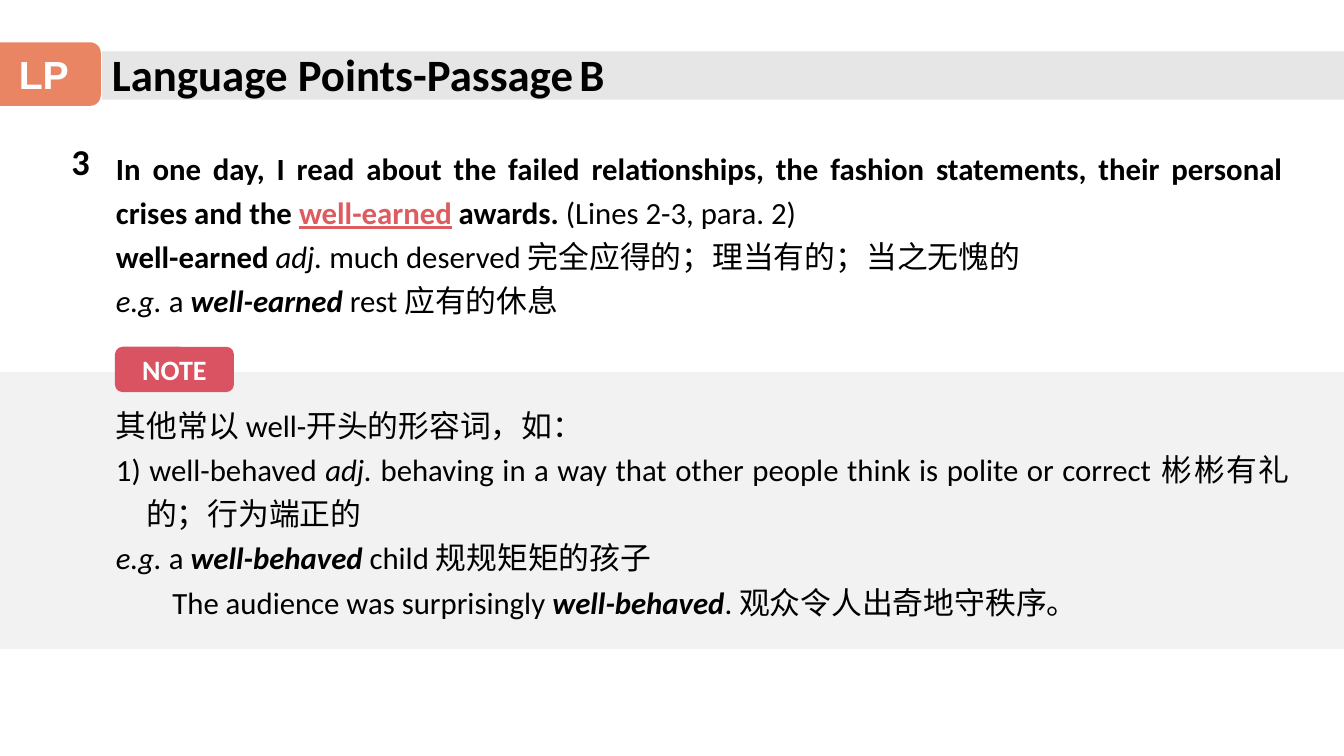
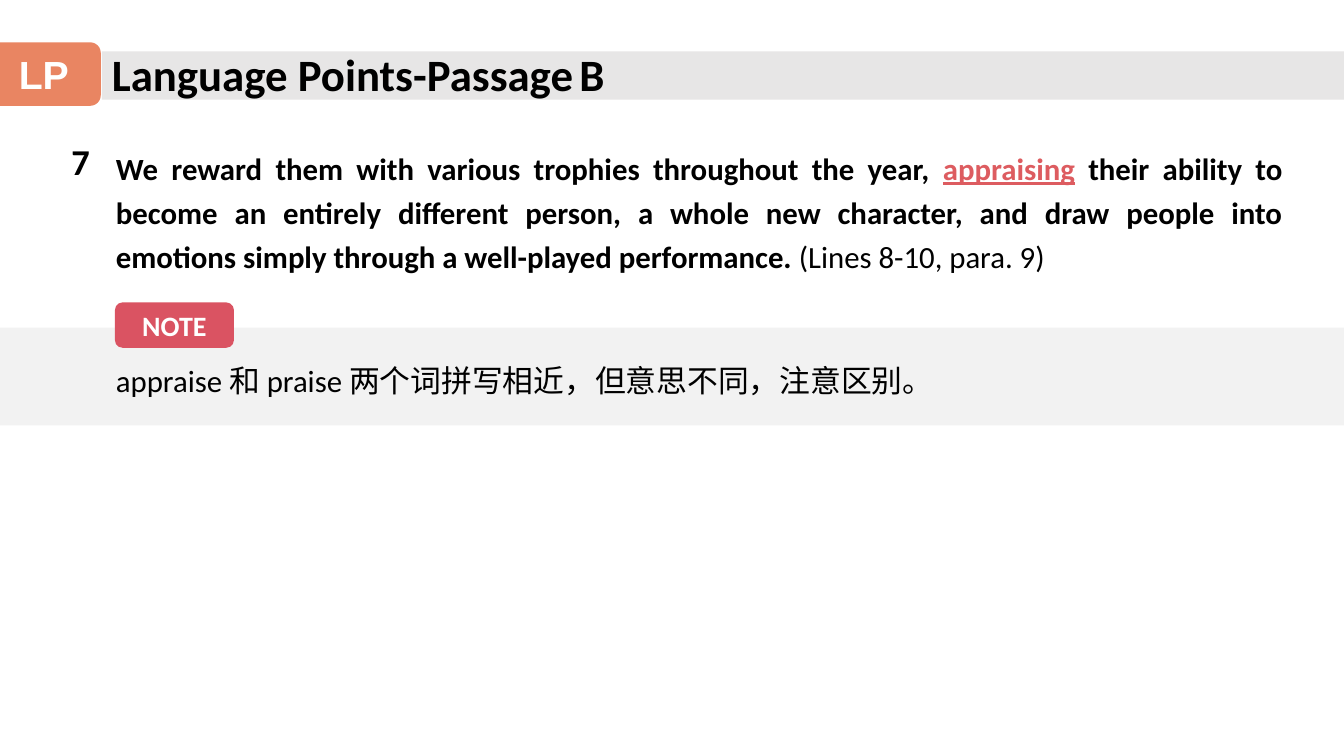
from lxml.etree import SubElement
from pptx import Presentation
from pptx.dml.color import RGBColor
from pptx.enum.shapes import MSO_SHAPE as Shape
from pptx.enum.text import MSO_ANCHOR as Anchor, MSO_AUTO_SIZE as Fit, PP_ALIGN as Align
from pptx.oxml.ns import qn
from pptx.util import Inches, Pt

BLACK = RGBColor(0x00, 0x00, 0x00)
WHITE = RGBColor(0xFF, 0xFF, 0xFF)
ORANGE = RGBColor(0xE9, 0x85, 0x62)
RED = RGBColor(0xDA, 0x53, 0x62)
KEY = RGBColor(0xDD, 0x5C, 0x60)
BAND = RGBColor(0xE7, 0xE6, 0xE6)
PALE = RGBColor(0xF2, 0xF2, 0xF2)
LATIN = "Calibri"
HAN = "Noto Sans CJK SC"
WIDE = 13.33

# Each paragraph is (left margin, first-line indent, runs); each run is
# (text, style) with b = bold, i = italic, k = underlined key word.
POINTS = [
    {
        "num": "3",
        "high": 1.84,
        "text": [
            (0, 0, [("In one day, I read about the failed relationships, the fashion "
                     "statements, their personal crises and the ", "b"),
                    ("well-earned", "bk"), (" awards. ", "b"),
                    ("(Lines 2-3, para. 2)", "")]),
            (0, 0, [("well-earned ", "b"), ("adj.", "i"),
                    (" much deserved 完全应得的；理当有的；当之无愧的", "")]),
            (0, 0, [("e.g.", "i"), (" a ", ""), ("well-earned", "bi"),
                    (" rest 应有的休息", "")]),
        ],
        "band": (3.69, 2.75),
        "note": [
            (0, 0, [("其他常以 well-开头的形容词，如：", "")]),
            (0.3, -0.3, [("1) well-behaved ", ""), ("adj.", "i"),
                         (" behaving in a way that other people think is polite or "
                          "correct 彬彬有礼的；行为端正的", "")]),
            (0, 0, [("e.g.", "i"), (" a ", ""), ("well-behaved", "bi"),
                    (" child 规规矩矩的孩子", "")]),
            (0, 0.56, [("The audience was surprisingly ", ""),
                       ("well-behaved", "bi"),
                       (". 观众令人出奇地守秩序。", "")]),
        ],
    },
    {
        "num": "7",
        "high": 1.4,
        "text": [
            (0, 0, [("We reward them with various trophies throughout the year, ", "b"),
                    ("appraising", "bk"),
                    (" their ability to become an entirely different person, a whole "
                     "new character, and draw people into emotions simply through a "
                     "well-played performance. ", "b"),
                    ("(Lines 8-10, para. 9)", "")]),
        ],
        "band": (3.25, 0.97),
        "note": [
            (0, 0, [("appraise 和 praise 两个词拼写相近，但意思不同，注意区别。", "")]),
        ],
    },
]


def place(shape, x, y, w, h):
    shape.left, shape.top = Inches(x), Inches(y)
    shape.width, shape.height = Inches(w), Inches(h)


def style(run, size, color=BLACK, bold=True, face=LATIN):
    font = run.font
    font.size, font.bold, font.name = Pt(size), bold, face
    font.color.rgb = color


def block(slide, kind, box, fill):
    shape = slide.shapes.add_shape(kind, *map(Inches, box))
    shape.shadow.inherit = False
    shape.fill.solid()
    shape.fill.fore_color.rgb = fill
    shape.line.fill.background()
    return shape


def band(slide, box, fill):
    """Add a flat strip behind everything else on the slide."""
    strip = block(slide, Shape.RECTANGLE, box, fill).element
    strip.getparent().insert(2, strip)


def badge(slide, box, fill, text, size, face=LATIN):
    frame = block(slide, Shape.ROUNDED_RECTANGLE, box, fill).text_frame
    frame.text = text
    frame.vertical_anchor = Anchor.MIDDLE
    para = frame.paragraphs[0]
    para.alignment = Align.CENTER
    style(para.runs[0], size, WHITE, face=face)


def title(slide):
    shape = slide.shapes.title
    place(shape, 1.01, 0.41, 5.5, 0.64)
    frame = shape.text_frame
    frame.auto_size, frame.vertical_anchor = Fit.NONE, Anchor.MIDDLE
    para = frame.paragraphs[0]
    para.alignment = Align.LEFT
    for text, size in (("Language Points-Passage", 32), (" ", 18), ("B", 32)):
        run = para.add_run()
        run.text = text
        style(run, size, bold=size == 32)


def number(slide, text):
    box = slide.shapes.add_textbox(*map(Inches, (0.61, 1.33, 0.63, 0.54)))
    frame = box.text_frame
    frame.word_wrap = True
    frame.text = text
    style(frame.paragraphs[0].runs[0], 26)


def body(shape, box, paras):
    """Fill a body placeholder with justified, unbulleted paragraphs."""
    place(shape, *box)
    frame = shape.text_frame
    frame.auto_size, frame.vertical_anchor = Fit.NONE, Anchor.TOP
    for i, (left, first, runs) in enumerate(paras):
        para = frame.add_paragraph() if i else frame.paragraphs[0]
        props = para._p.get_or_add_pPr()
        props.set("marL", str(Inches(left)))
        props.set("indent", str(Inches(first)))
        SubElement(props, qn("a:buNone"))
        para.alignment = Align.JUSTIFY
        para.line_spacing = Pt(31.6)
        para.space_before = Pt(0)
        for text, marks in runs:
            run = para.add_run()
            run.text = text
            style(run, 22, KEY if "k" in marks else BLACK, "b" in marks)
            run.font.italic = "i" in marks
            run.font.underline = "k" in marks
            SubElement(run._r.get_or_add_rPr(), qn("a:ea")).set("typeface", HAN)


def build(deck, point):
    slide = deck.slides.add_slide(deck.slide_layouts.get_by_name("Two Content"))
    text, note = list(slide.placeholders)[1:]
    top, high = point["band"]
    band(slide, (1.01, 0.51, WIDE - 1.01, 0.48), BAND)
    band(slide, (0, top, WIDE, high), PALE)
    title(slide)
    badge(slide, (-0.13, 0.42, 1.13, 0.63), ORANGE, "LP", 28, "Arial")
    number(slide, point["num"])
    body(text, (1.05, 1.36, 11.77, point["high"]), point["text"])
    body(note, (1.05, top + 0.22, 11.84, high - 0.46), point["note"])
    badge(slide, (1.14, top - 0.25, 1.18, 0.45), RED, "NOTE", 20)


def main():
    deck = Presentation()
    deck.slide_width, deck.slide_height = Inches(WIDE), Inches(7.5)
    for point in POINTS:
        build(deck, point)
    deck.save("out.pptx")


if __name__ == "__main__":
    main()
